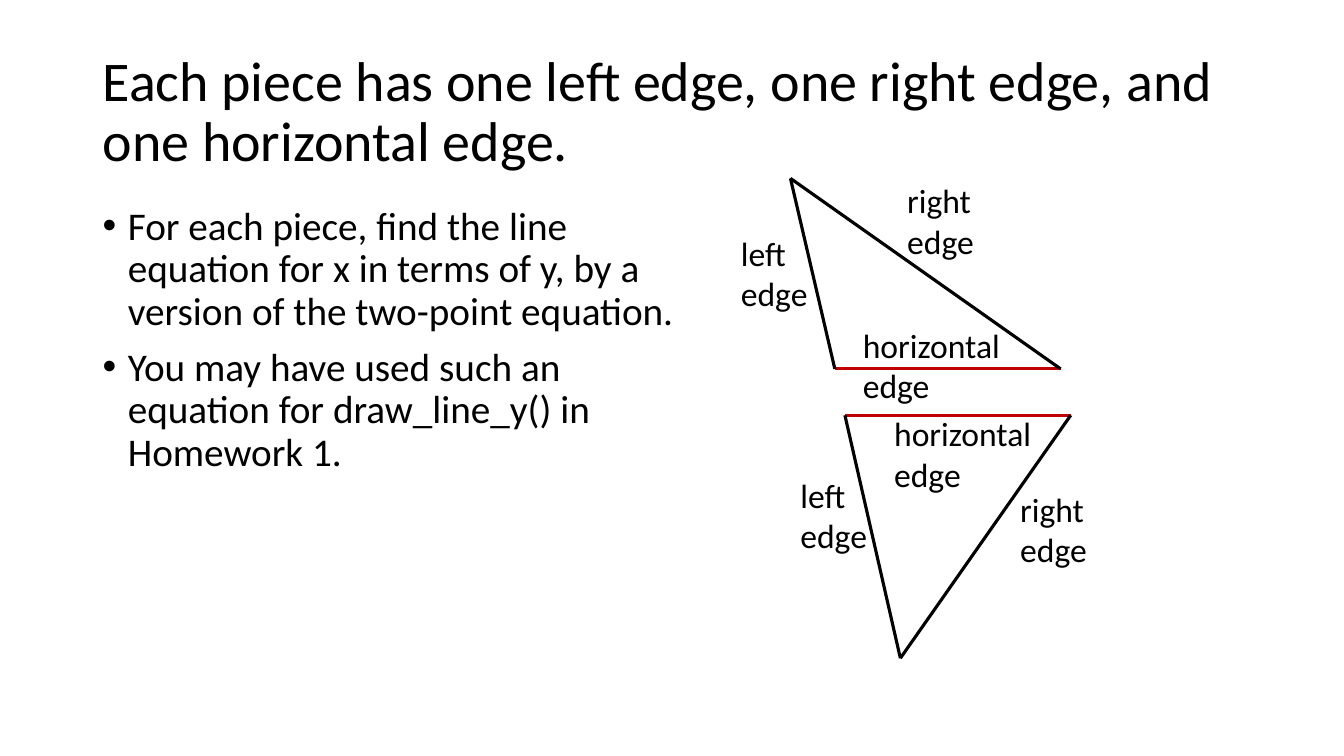
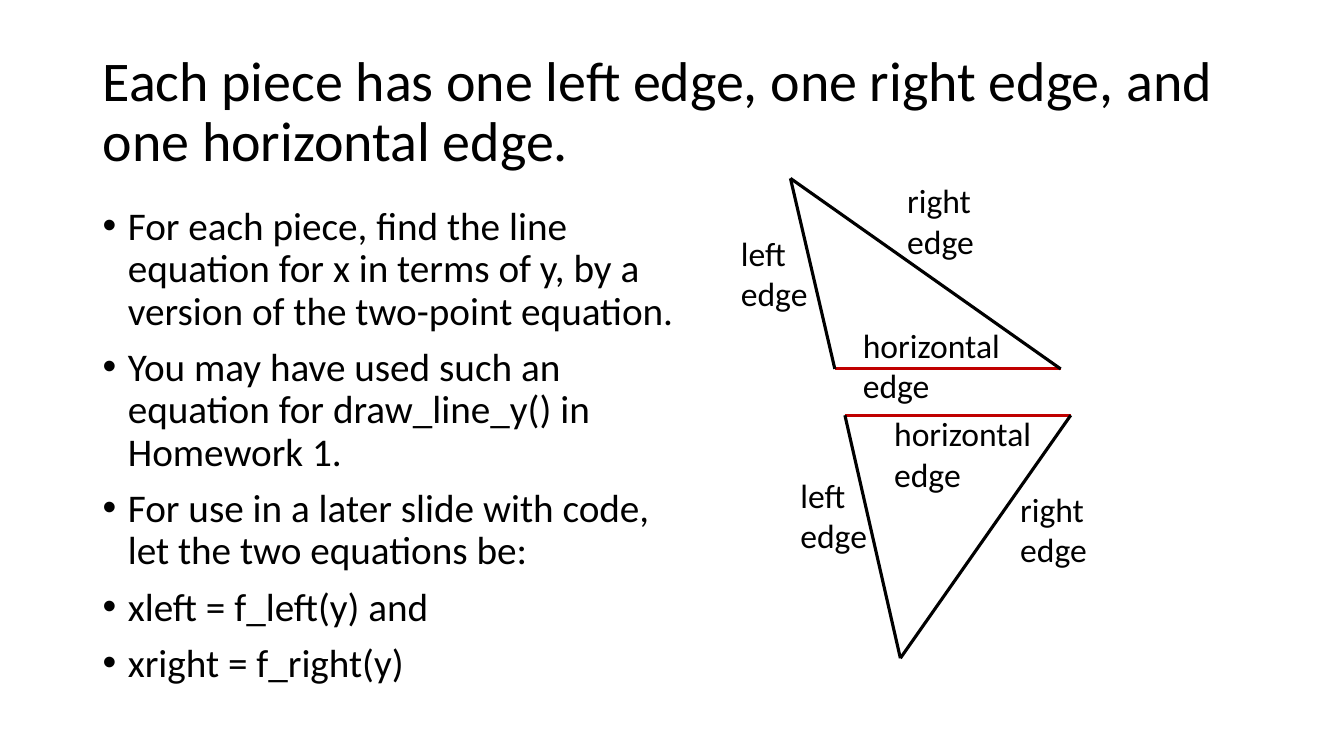
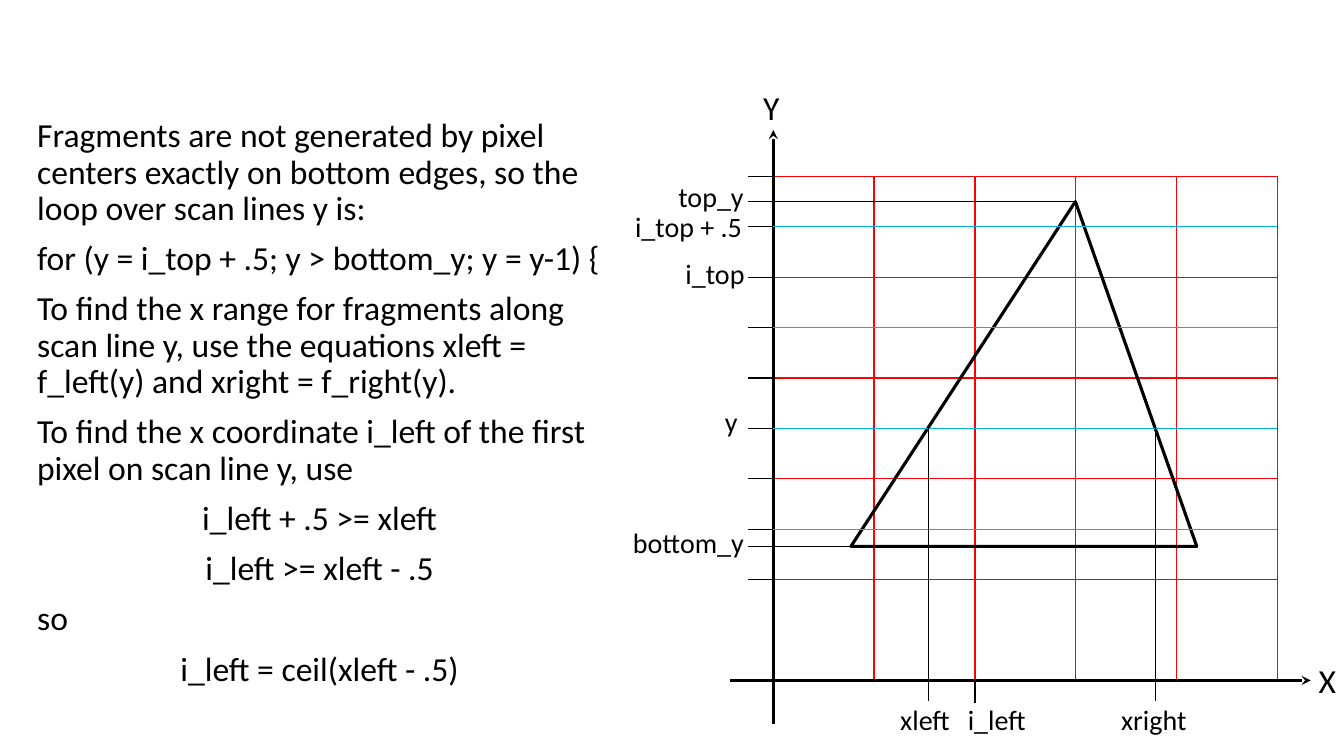
from lxml import etree
from pptx import Presentation
from pptx.dml.color import RGBColor
from pptx.enum import shapes, text
from pptx.oxml import ns
from pptx.util import Inches, Pt

COLORS = {"ink": "000000", "base": "C00000", "grid": "FF0000", "scan": "00B0F0"}
FONT = "Calibri"
THIN, THICK = 1, 2.25

TITLE = "Each piece has one left edge, one right edge, and one horizontal edge."
TITLE_BOX = (0.92, 0.4, 11.5, 1.45)
BODY_BOX = (0.92, 2, 5.95, 5.03)
LINE_EQUATION = [
    "For each piece, find the line equation for x in terms of y, by a version of the two-point equation.",
    "You may have used such an equation for draw_line_y() in Homework 1.",
]
NAMED_EQUATIONS = [
    "For use in a later slide with code, let the two equations be:",
    "xleft = f_left(y) and",
    "xright = f_right(y)",
]
PIECE_SLIDES = [LINE_EQUATION, LINE_EQUATION + NAMED_EQUATIONS]

PIECES = [
    {"base": ((8.38, 4.12), (10.62, 4.12)), "apex": (8.93, 6.53)},
    {"base": ((8.28, 3.66), (10.52, 3.66)), "apex": (7.84, 1.77)},
]
EDGE_LABELS = [
    ("left", 7.84, 4.66, 0.87),
    ("right", 10.02, 4.8, 0.87),
    ("horizontal", 8.77, 4.05, 1.57),
    ("horizontal", 8.46, 3.17, 1.57),
    ("left", 7.25, 2.26, 0.87),
    ("right", 8.9, 1.74, 0.87),
]

L, C = text.PP_ALIGN.LEFT, text.PP_ALIGN.CENTER
SCAN_BOX = (0.27, 1.13, 5.8, 5.87)
SCAN_TEXT = [
    ("Fragments are not generated by pixel centers exactly on bottom edges, so the loop over scan lines y is:", L),
    ("for (y = i_top + .5; y > bottom_y; y = y-1) {", L),
    ("To find the x range for fragments along scan line y, use the equations xleft = f_left(y) and xright = f_right(y).", L),
    ("To find the x coordinate i_left of the first pixel on scan line y, use", L),
    ("i_left + .5 >= xleft", C),
    ("i_left >= xleft - .5", C),
    ("so", L),
    ("i_left = ceil(xleft - .5)", C),
]
GRID_X, GRID_Y, CELLS, TICK = 7.67, 1.75, 5, 0.25
TRIANGLE = (8.44, 2, 3.43, 3.42)
APEX_RATIO = 0.649
SCAN_Y = 4.25
AXES = [((7.67, 1.29), (7.67, 7.18)), ((13, 6.75), (7.24, 6.75))]
DROPS = [(9.21, SCAN_Y, 6.95), (11.46, SCAN_Y, 6.95), (9.67, 6.75, 6.97)]
AXIS_LABELS = [
    ("Y", 7.47, 0.81, 0.52, 24),
    ("X", 12.98, 6.5, 0.52, 24),
    ("top_y", 6.63, 1.73, 0.88, 20),
    ("bottom_y", 6.18, 5.16, 1.34, 20),
    ("i_top + .5", 6.2, 2.03, 1.34, 20),
    ("i_top", 6.7, 2.5, 0.88, 20),
    ("xleft", 8.83, 6.92, 0.88, 20),
    ("xright", 11.02, 6.92, 0.88, 20),
    ("y", 7.09, 3.96, 1.34, 20),
    ("i_left", 9.5, 6.92, 0.88, 20),
]


def rgb(name):
    return RGBColor.from_string(COLORS[name])


def add_bullet(p):
    pPr = p._p.get_or_add_pPr()
    pPr.set("marL", str(Inches(0.25)))
    pPr.set("indent", str(Inches(-0.25)))
    etree.SubElement(pPr, ns.qn("a:buFont")).set("typeface", "Arial")
    etree.SubElement(pPr, ns.qn("a:buChar")).set("char", "•")


def add_text(s, box, paragraphs, size, wrap=True, grow=False, bullet=False, anchor="TOP", spacing=None, gap=0):
    sp = s.shapes.add_textbox(*map(Inches, box))
    tf = sp.text_frame
    settings = {
        "word_wrap": wrap,
        "auto_size": text.MSO_AUTO_SIZE.SHAPE_TO_FIT_TEXT if grow else text.MSO_AUTO_SIZE.NONE,
        "vertical_anchor": text.MSO_ANCHOR[anchor],
    }
    for key, value in settings.items():
        setattr(tf, key, value)
    for i, (words, align) in enumerate(paragraphs):
        p = tf.add_paragraph() if i else tf.paragraphs[0]
        if bullet:
            add_bullet(p)
        layout = {"alignment": align, "line_spacing": spacing, "space_before": Pt(gap if i else 0)}
        for key, value in layout.items():
            setattr(p, key, value)
        r = p.add_run()
        r.text = words
        for key, value in {"name": FONT, "size": Pt(size)}.items():
            setattr(r.font, key, value)
        r.font.color.rgb = rgb("ink")


def add_line(s, start, end, color="ink", width=THIN, arrow=False):
    ends = [Inches(v) for v in (*start, *end)]
    line = s.shapes.add_connector(shapes.MSO_CONNECTOR.STRAIGHT, *ends)
    line.line.color.rgb = rgb(color)
    line.line.width = Pt(width)
    if arrow:
        etree.SubElement(line.line._get_or_add_ln(), ns.qn("a:headEnd")).set("type", "stealth")
    etree.SubElement(line._element.spPr, ns.qn("a:effectLst"))


def add_piece_slide(prs, bullets):
    s = prs.slides.add_slide(prs.slide_layouts[6])
    add_text(s, BODY_BOX, [(b, L) for b in bullets], 28, bullet=True, spacing=0.9, gap=10)
    add_text(s, TITLE_BOX, [(TITLE, L)], 40, anchor="MIDDLE", spacing=0.9)
    for piece in PIECES:
        add_line(s, *piece["base"], "base", THICK)
        for corner in piece["base"]:
            add_line(s, corner, piece["apex"], width=THICK)
    for side, x, y, w in EDGE_LABELS:
        add_text(s, (x, y, w, 0.91), [(side, L), ("edge", L)], 24, wrap=False, grow=True)


def add_scan_slide(prs):
    s = prs.slides.add_slide(prs.slide_layouts[6])
    add_text(s, SCAN_BOX, SCAN_TEXT, 24, spacing=0.9, gap=10)

    right, bottom, tick_x = GRID_X + CELLS, GRID_Y + CELLS, GRID_X - TICK
    rows = [GRID_Y + i for i in range(CELLS)]
    centers = [y + 0.5 for y in rows[:-1]]
    for y in rows:
        add_line(s, (GRID_X, y), (right, y), "grid")
    for i in range(CELLS, 0, -1):
        add_line(s, (GRID_X + i, GRID_Y), (GRID_X + i, bottom), "grid")
    for start, end in AXES:
        add_line(s, start, end, width=THICK, arrow=True)

    x, y, w, h = TRIANGLE
    sp = s.shapes.add_shape(shapes.MSO_SHAPE.ISOSCELES_TRIANGLE, *map(Inches, TRIANGLE))
    sp.adjustments[0] = APEX_RATIO
    sp.shadow.inherit = False
    sp.fill.background()
    sp.line.color.rgb = rgb("ink")
    sp.line.width = Pt(THICK)

    for tick_y in rows + centers:
        add_line(s, (tick_x, tick_y), (GRID_X, tick_y))
    for corner in ((x, y + h), (x + w * APEX_RATIO, y)):
        add_line(s, corner, (tick_x, corner[1]))
    for center_y in centers:
        add_line(s, (GRID_X, center_y), (right, center_y), "scan")
    for drop_x, top, end in DROPS:
        add_line(s, (drop_x, top), (drop_x, end))
    for words, left, top, width, size in AXIS_LABELS:
        add_text(s, (left, top, width, 0.5 if size == 24 else 0.44), [(words, L)], size, grow=True)


def main():
    prs = Presentation()
    prs.slide_width, prs.slide_height = Inches(13.33), Inches(7.5)
    for bullets in PIECE_SLIDES:
        add_piece_slide(prs, bullets)
    add_scan_slide(prs)
    prs.save("out.pptx")


if __name__ == "__main__":
    main()
